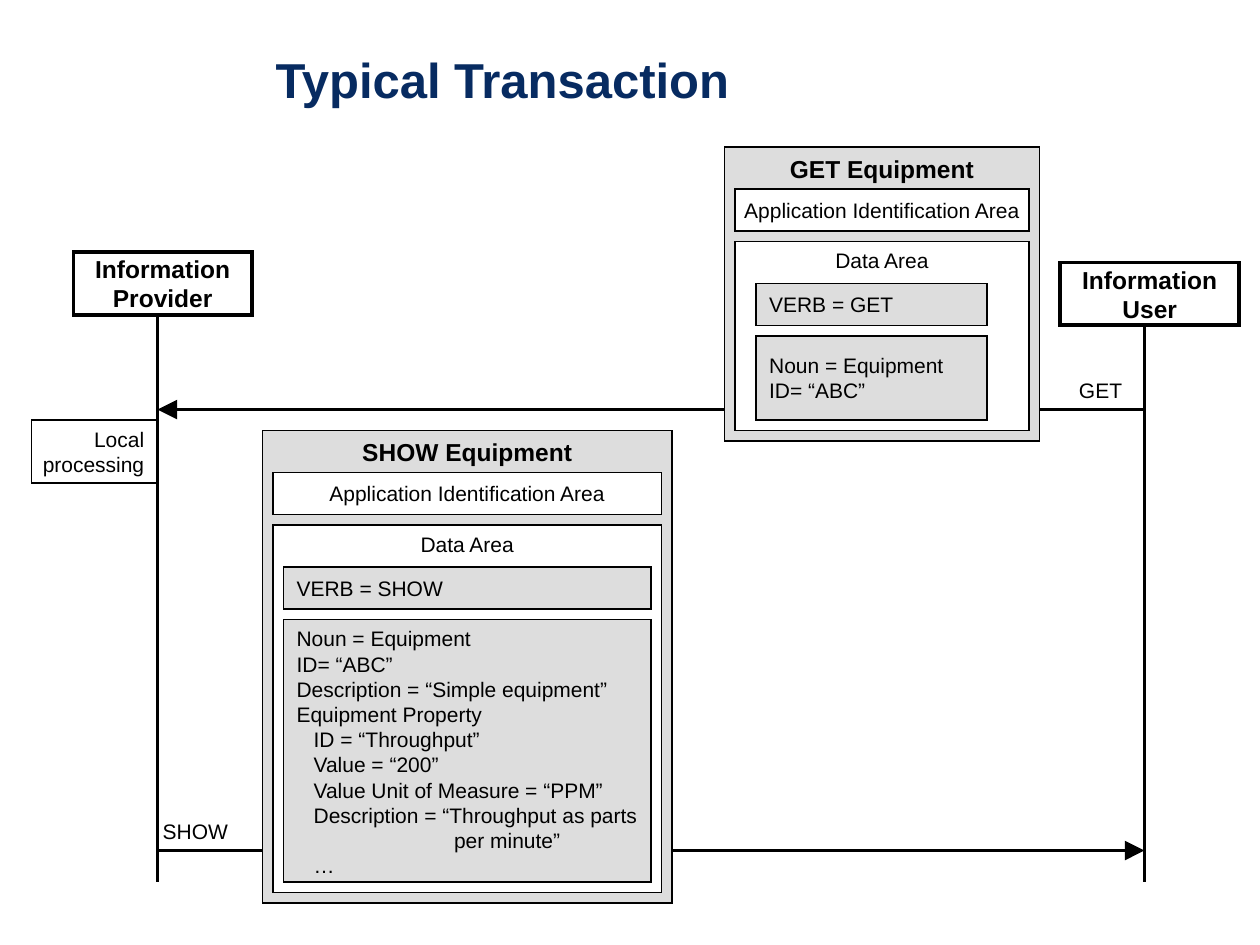
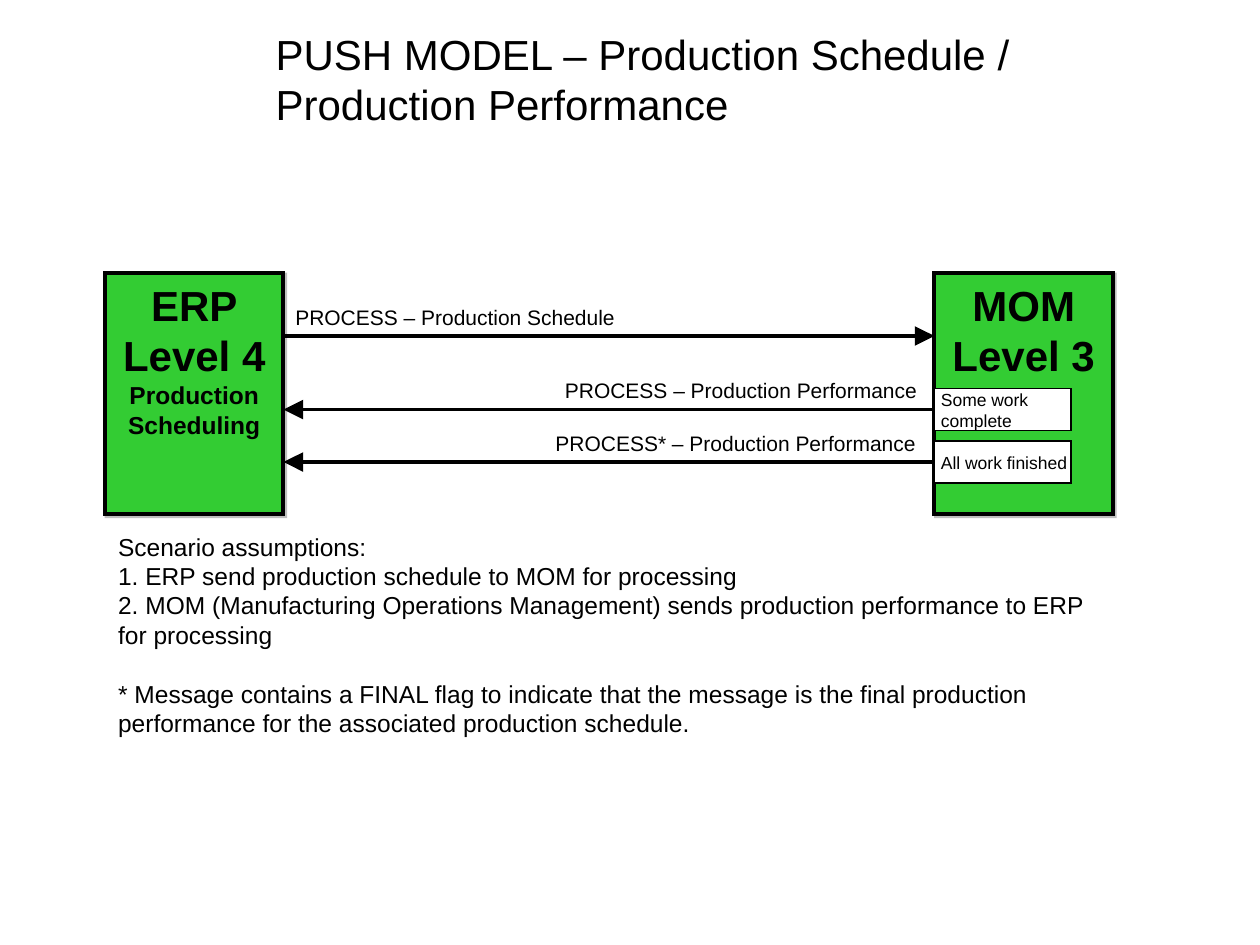
from lxml import etree
from pptx import Presentation
from pptx.dml.color import RGBColor
from pptx.enum.shapes import MSO_CONNECTOR, MSO_SHAPE
from pptx.enum.text import MSO_ANCHOR, MSO_AUTO_SIZE, PP_ALIGN
from pptx.oxml.ns import qn
from pptx.util import Emu, Pt

RECTANGLE, STRAIGHT = MSO_SHAPE.RECTANGLE, MSO_CONNECTOR.STRAIGHT
LEFT, CENTER, RIGHT = PP_ALIGN.LEFT, PP_ALIGN.CENTER, PP_ALIGN.RIGHT
TOP, MIDDLE = MSO_ANCHOR.TOP, MSO_ANCHOR.MIDDLE
FIXED, GROW = MSO_AUTO_SIZE.NONE, MSO_AUTO_SIZE.SHAPE_TO_FIT_TEXT
LEFT_SIDE = 1

EMU_PER_PX = 9525
SLIDE_WIDTH, SLIDE_HEIGHT = 960, 720
FONT = "Arial"
BLACK, WHITE, GREY, GREEN, NAVY = "000000", "FFFFFF", "DDDDDD", "33CC33", "072B61"
SHADOW = "808080"
THIN, THICK = 0.75, 2.25
GAP, ROW, LABEL_HEIGHT = 8, 32, 29
TITLE_BOX = (200, 8, 653, 104)


def px(length):
    return Emu(round(length * EMU_PER_PX))


def color(value):
    return RGBColor.from_string(value)


def write(shape, lines, align=LEFT, anchor=TOP, wrap=False, inset=10, fit=FIXED, **font):
    """Fill a shape with lines; a line is a string or (string, format overrides)."""
    frame = shape.text_frame
    frame_format = {
        "word_wrap": wrap, "vertical_anchor": anchor, "auto_size": fit,
        "margin_left": px(inset), "margin_right": px(inset),
        "margin_top": px(5), "margin_bottom": px(5),
    }
    for name, value in frame_format.items():
        setattr(frame, name, value)
    for index, line in enumerate(lines):
        text, overrides = (line, {}) if isinstance(line, str) else line
        style = {"size": 12, "bold": False, "color": BLACK, **font, **overrides}
        paragraph = frame.paragraphs[0] if index == 0 else frame.add_paragraph()
        paragraph.alignment = align
        if "indent" in style:
            paragraph._p.get_or_add_pPr().set("marL", str(px(style["indent"])))
        if "before" in style:
            paragraph.space_before = Pt(style["before"])
        run = paragraph.add_run()
        run.text = text
        font_format = {"name": FONT, "size": Pt(style["size"]), "bold": style["bold"]}
        for name, value in font_format.items():
            setattr(run.font, name, value)
        run.font.color.rgb = color(style["color"])


def add_text(slide, box, lines, **text_format):
    write(slide.shapes.add_textbox(*map(px, box)), lines, **text_format)


def add_box(slide, box, lines, fill=WHITE, line_width=THIN, **text_format):
    shape = slide.shapes.add_shape(RECTANGLE, *map(px, box))
    shape.shadow.inherit = False
    shape.fill.solid()
    shape.fill.fore_color.rgb = color(fill)
    shape.line.color.rgb = color(BLACK)
    shape.line.width = Pt(line_width)
    etree.SubElement(shape.element.spPr.find(qn("a:ln")), qn("a:miter"), lim="800000")
    write(shape, lines, **text_format)
    return shape


def add_drop_shadow(shape):
    effects = shape.element.spPr.find(qn("a:effectLst"))
    outer = etree.SubElement(effects, qn("a:outerShdw"),
                             dist=str(Pt(1.4)), dir="2700000", algn="ctr", rotWithShape="0")
    shade = etree.SubElement(outer, qn("a:srgbClr"), val=SHADOW)
    etree.SubElement(shade, qn("a:alpha"), val="50000")


def add_line(slide, start, end, arrow=True):
    connector = slide.shapes.add_connector(STRAIGHT, *map(px, (*start, *end)))
    connector.line.color.rgb = color(BLACK)
    connector.line.width = Pt(THICK)
    properties = connector.element.spPr
    if arrow:
        etree.SubElement(properties.find(qn("a:ln")), qn("a:tailEnd"),
                         type="triangle", w="lg", len="lg")
    etree.SubElement(properties, qn("a:effectLst"))
    return connector


def add_title(slide, text, **font):
    add_text(slide, TITLE_BOX, [text], anchor=MIDDLE, wrap=True, **font)


def add_label(slide, left, line_top, width, text, align=LEFT):
    """Place a one-line label just above the line at line_top."""
    add_text(slide, (left, line_top - LABEL_HEIGHT, width, LABEL_HEIGHT), [text],
             align=align, inset=9, fit=GROW)


def add_participant(slide, left, top, name, bottom):
    """Draw a named box with its lifeline running down to bottom."""
    width, height, line_offset = 136, 48, 64
    add_box(slide, (left, top, width, height), [name], line_width=THICK,
            align=CENTER, anchor=MIDDLE, wrap=True, size=14, bold=True)
    lifeline = left + line_offset
    add_line(slide, (lifeline, top + height), (lifeline, bottom), arrow=False)


def add_message(slide, box, verb, noun_lines, detail_left, detail_width, noun_anchor):
    """Draw a message with its identification area and its data area."""
    left, top, width, height = box
    inner_left, inner_width = left + GAP, width - 2 * GAP
    area_top = top + ROW
    data_top = area_top + ROW + GAP
    verb_top = data_top + ROW
    noun_top = verb_top + ROW + GAP
    bottom = top + height
    detail_left += inner_left

    add_box(slide, box, [f"{verb} Equipment"], fill=GREY, align=CENTER, size=14, bold=True)
    add_box(slide, (inner_left, area_top, inner_width, ROW),
            ["Application Identification Area"], align=CENTER, anchor=MIDDLE)
    add_box(slide, (inner_left, data_top, inner_width, bottom - GAP - data_top),
            ["Data Area"], align=CENTER)
    add_box(slide, (detail_left, verb_top, detail_width, ROW),
            [f"VERB = {verb}"], fill=GREY, anchor=MIDDLE)
    add_box(slide, (detail_left, noun_top, detail_width, bottom - 2 * GAP - noun_top),
            noun_lines, fill=GREY, anchor=noun_anchor)


def build_transaction(slide):
    provider_line, user_line, lifeline_bottom = 120, 872, 672
    get_line, show_line = 312, 648
    equipment = ["Noun = Equipment", "ID= “ABC”"]
    property_indent = {"indent": 13}
    add_title(slide, "Typical Transaction", size=28, bold=True, color=NAVY)
    add_line(slide, (user_line, get_line), (provider_line, get_line))
    add_label(slide, 812, get_line, 52, "GET", RIGHT)
    add_line(slide, (provider_line, show_line), (user_line, show_line))
    add_label(slide, 115, show_line, 69, "SHOW")
    add_box(slide, (24, 320, 96, 48), ["Local", "processing"], align=RIGHT, anchor=MIDDLE)
    add_participant(slide, 56, 192, "Information Provider", lifeline_bottom)
    add_participant(slide, 808, 200, "Information User", lifeline_bottom)
    add_message(slide, (552, 112, 240, 224), "GET", equipment, 16, 176, MIDDLE)
    add_message(slide, (200, 328, 312, 360), "SHOW", [
        *equipment,
        "Description = “Simple equipment”",
        "Equipment Property",
        ("ID = “Throughput”", property_indent),
        ("Value = “200”", property_indent),
        ("Value Unit of Measure = “PPM”", property_indent),
        ("Description = “Throughput as parts", property_indent),
        ("per minute”", {"indent": 120}),
        ("…", property_indent),
    ], 8, 280, TOP)


def add_system(slide, left, lines):
    system = add_box(slide, (left, 208, 136, 184), lines, fill=GREEN, line_width=THICK,
                     align=CENTER, wrap=True, size=24, bold=True)
    add_drop_shadow(system)


def add_report(slide, system_left, target, line_top, status, label, label_box):
    """Draw a status box in a system and its arrow back to target."""
    status_box = add_box(slide, (system_left, line_top - ROW // 2, 104, ROW), status,
                         anchor=MIDDLE, inset=5, size=10)
    arrow = add_line(slide, (system_left, line_top), (target, line_top))
    arrow.begin_connect(status_box, LEFT_SIDE)
    label_left, label_width = label_box
    add_label(slide, label_left, line_top, label_width, label, RIGHT)


def build_push_model(slide):
    erp_left, erp_right, mom_left, schedule_line = 80, 216, 712, 256
    add_title(slide, "PUSH MODEL – Production Schedule / Production Performance", size=24)
    add_system(slide, erp_left, ["ERP", "Level 4", ("Production Scheduling", {"size": 14})])
    add_system(slide, mom_left, ["MOM", "Level 3"])
    add_line(slide, (erp_right, schedule_line), (mom_left, schedule_line))
    add_label(slide, erp_right, schedule_line, 263, "PROCESS – Production Schedule")
    add_report(slide, mom_left, erp_right, 312, ["Some work", "complete"],
               "PROCESS – Production Performance", (420, 288))
    add_report(slide, mom_left, erp_right, 352, ["All work finished"],
               "PROCESS* – Production Performance", (413, 294))
    add_text(slide, (erp_left, 400, 768, 168), [
        "Scenario assumptions:",
        "1. ERP send production schedule to MOM for processing",
        "2. MOM (Manufacturing Operations Management) sends production performance "
        "to ERP for processing",
        ("* Message contains a FINAL flag to indicate that the message is the final "
         "production performance for the associated production schedule.", {"before": 17}),
    ], wrap=True, size=14)


def main():
    presentation = Presentation()
    presentation.slide_width, presentation.slide_height = px(SLIDE_WIDTH), px(SLIDE_HEIGHT)
    blank_layout = presentation.slide_layouts[6]
    for build in (build_transaction, build_push_model):
        build(presentation.slides.add_slide(blank_layout))
    presentation.save("out.pptx")


if __name__ == "__main__":
    main()
